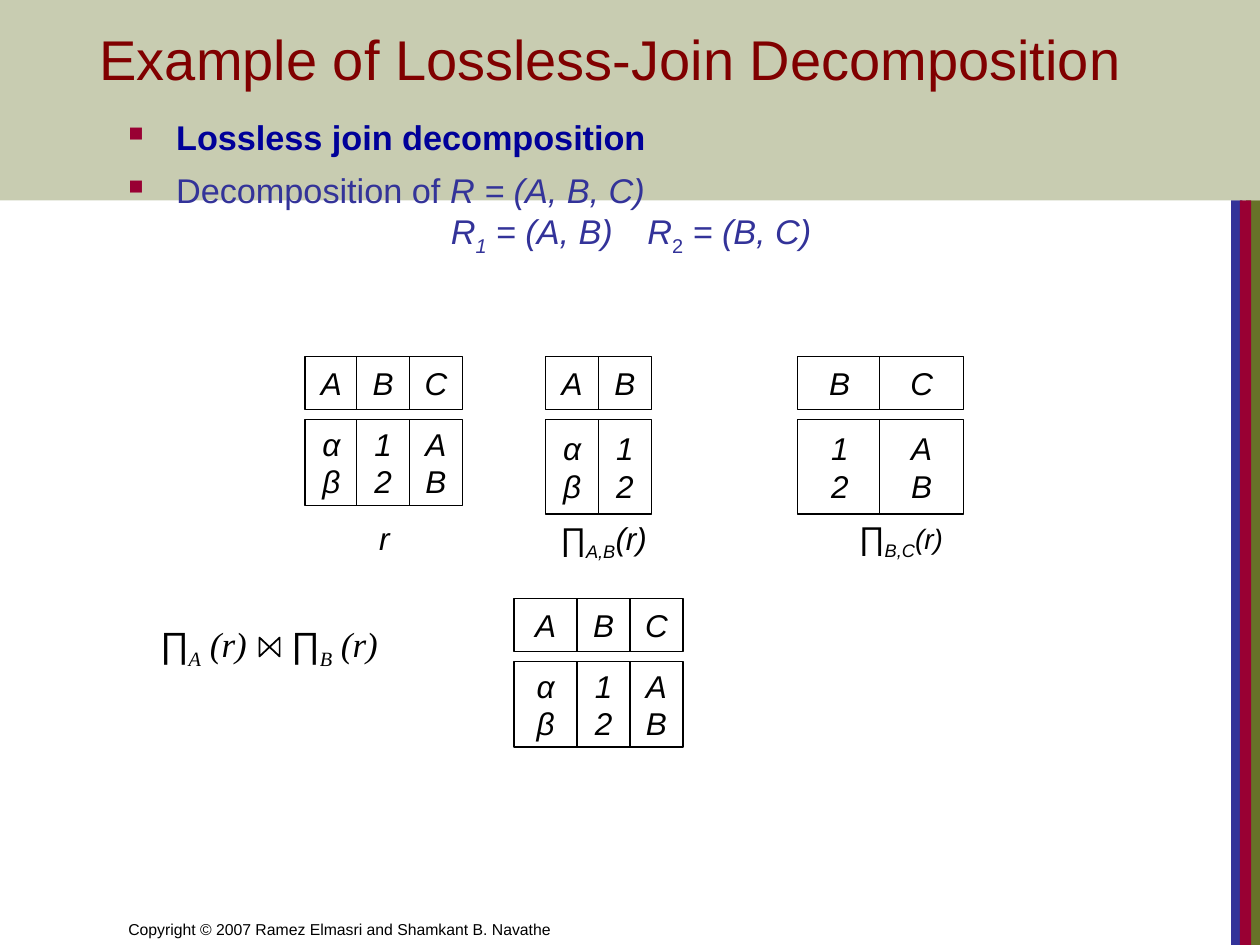
from lxml import etree
from pptx import Presentation
from pptx.dml.color import RGBColor
from pptx.enum import shapes, text
from pptx.oxml import ns
from pptx.util import Inches, Pt

OLIVE = RGBColor(0x67, 0x72, 0x28)
BLUE = RGBColor(0x33, 0x33, 0x99)
CRIMSON = RGBColor(0x99, 0x00, 0x33)
MAROON = RGBColor(0x80, 0x00, 0x00)
NAVY = RGBColor(0x00, 0x00, 0x99)
BLACK = RGBColor(0x00, 0x00, 0x00)
WHITE = RGBColor(0xFF, 0xFF, 0xFF)
SANS = "Arial"
SERIF = "Times New Roman"
HEADER_HEIGHT = 0.42
HEADER_PITCH = 0.5
ALPHAS = ("α", "β")
NUMBERS = ("1", "2")
LETTERS = ("A", "B")


def add_child(parent, tag, **attributes):
    return etree.SubElement(parent, ns.qn(tag), attributes)


def add_run(paragraph, words, size, color=BLACK, font=SANS,
            bold=False, italic=False, subscript=False):
    run = paragraph.add_run()
    run.text = words
    run.font.size = Pt(size)
    run.font.name = font
    run.font.color.rgb = color
    run.font.bold = bold
    run.font.italic = italic
    if subscript:
        run.font._element.set("baseline", "-25000")


def set_tabs(paragraph, positions):
    tabs = add_child(paragraph._p.get_or_add_pPr(), "a:tabLst")
    for position in positions:
        add_child(tabs, "a:tab", pos=str(Inches(position)), algn="l")


def set_bullet(paragraph):
    properties = paragraph._p.get_or_add_pPr()
    properties.set("marL", str(Inches(0.38)))
    properties.set("indent", str(Inches(-0.38)))
    color = add_child(properties, "a:buClr")
    add_child(color, "a:srgbClr", val=str(CRIMSON))
    add_child(properties, "a:buSzPct", val="60000")
    add_child(properties, "a:buChar", char="■")


def add_rectangle(slide, left, top, width, height, color):
    shape = slide.shapes.add_shape(
        shapes.MSO_SHAPE.RECTANGLE,
        Inches(left), Inches(top), Inches(width), Inches(height))
    shape.shadow.inherit = False
    shape.fill.solid()
    shape.fill.fore_color.rgb = color
    shape.line.fill.background()
    return shape


def add_text_box(slide, left, top, width, height, anchor=text.MSO_ANCHOR.TOP):
    box = slide.shapes.add_textbox(
        Inches(left), Inches(top), Inches(width), Inches(height))
    frame = box.text_frame
    frame.word_wrap = True
    frame.vertical_anchor = anchor
    return frame


def add_background(slide):
    for left, width, color in ((9.89, 0.11, OLIVE), (9.77, 0.09, BLUE),
                               (9.84, 0.09, CRIMSON)):
        add_rectangle(slide, left, 1.59, width, 5.91, color)
    band = add_rectangle(slide, 0, 0, 10, 1.59, OLIVE)
    color = band._element.spPr.find(ns.qn("a:solidFill"))[0]
    add_child(color, "a:alpha", val="36000")
    footer = add_text_box(slide, 0.92, 7, 4.92, 0.5, text.MSO_ANCHOR.BOTTOM)
    add_run(footer.paragraphs[0],
            "Copyright © 2007 Ramez Elmasri and Shamkant B. Navathe", 9)


def add_title(slide):
    title = slide.shapes.title
    title.left, title.top = Inches(0.69), Inches(0.28)
    title.width, title.height = Inches(9.33), Inches(0.5)
    frame = title.text_frame
    frame.auto_size = text.MSO_AUTO_SIZE.NONE
    frame.vertical_anchor = text.MSO_ANCHOR.BOTTOM
    paragraph = frame.paragraphs[0]
    paragraph.alignment = text.PP_ALIGN.LEFT
    add_run(paragraph, "Example of Lossless-Join Decomposition", 32, MAROON)
    slide.shapes.element.append(title.element)


def add_definition(slide):
    frame = add_text_box(slide, 0.92, 0.87, 7.66, 1.32)
    frame.margin_right = 0
    heading = frame.paragraphs[0]
    set_bullet(heading)
    add_run(heading, "Lossless join decomposition", 19.6, NAVY, bold=True)

    paragraph = frame.add_paragraph()
    set_bullet(paragraph)
    set_tabs(paragraph, (2.56, 4.12))
    paragraph.space_before = Pt(7)
    add_run(paragraph, "Decomposition of ", 19.6, BLUE)
    add_run(paragraph, "R = (A, B, C)", 19.6, BLUE, italic=True)
    paragraph.add_line_break()
    for words, italic, subscript in (
            ("\tR", True, False), ("1", True, True),
            (" = (A, B)\tR", True, False), ("2", False, True),
            (" = (B, C)", True, False)):
        add_run(paragraph, words, 19.6, BLUE, italic=italic, subscript=subscript)


def add_cell(slide, left, top, width, height, lines):
    cell = add_rectangle(slide, left, top, width, height, WHITE)
    cell.line.color.rgb = BLACK
    cell.line.width = Pt(0.75)
    frame = cell.text_frame
    frame.word_wrap = False
    frame.vertical_anchor = text.MSO_ANCHOR.MIDDLE
    for index, line in enumerate(lines):
        paragraph = frame.add_paragraph() if index else frame.paragraphs[0]
        paragraph.alignment = text.PP_ALIGN.CENTER
        add_run(paragraph, line, 18, italic=True)


def add_relation(slide, top, body_height, columns):
    for left, width, name, values in columns:
        add_cell(slide, left, top, width, HEADER_HEIGHT, (name,))
        add_cell(slide, left, top + HEADER_PITCH, width, body_height, values)


def add_label(slide, left, top, width, height, runs):
    frame = add_text_box(slide, left, top, width, height, text.MSO_ANCHOR.MIDDLE)
    paragraph = frame.paragraphs[0]
    paragraph.alignment = text.PP_ALIGN.CENTER
    for words, size, subscript in runs:
        add_run(paragraph, words, size, italic=True, subscript=subscript)


def add_join_formula(slide):
    paragraph = add_text_box(slide, 1.17, 4.89, 2.75, 0.95).paragraphs[0]
    set_tabs(paragraph, (1.04,))
    for attribute, ending in (("A", " (r)\t"), ("B", " (r)")):
        add_run(paragraph, "∏", 20, italic=True)
        add_run(paragraph, attribute, 20, font=SERIF, italic=True, subscript=True)
        add_run(paragraph, ending, 20, font=SERIF, italic=True)

    left, right, top, bottom = (Inches(x) for x in (2.06, 2.22, 5.06, 5.21))
    builder = slide.shapes.build_freeform(left, top)
    builder.add_line_segments(
        ((left, bottom), (right, top), (right, bottom)), close=True)
    bowtie = builder.convert_to_shape()
    bowtie.shadow.inherit = False
    bowtie.fill.background()
    bowtie.line.color.rgb = BLACK
    bowtie.line.width = Pt(1)


def main():
    presentation = Presentation()
    presentation.slide_width, presentation.slide_height = Inches(10), Inches(7.5)
    slide = presentation.slides.add_slide(presentation.slide_layouts[5])
    add_background(slide)
    add_title(slide)
    add_definition(slide)
    add_relation(slide, 2.83, 0.68, (
        (2.42, 0.42, "A", ALPHAS), (2.83, 0.42, "B", NUMBERS),
        (3.25, 0.42, "C", LETTERS)))
    add_relation(slide, 2.83, 0.75, (
        (4.33, 0.42, "A", ALPHAS), (4.75, 0.42, "B", NUMBERS)))
    add_relation(slide, 2.83, 0.75, (
        (6.33, 0.67, "B", NUMBERS), (6.98, 0.67, "C", LETTERS)))
    add_relation(slide, 4.75, 0.68, (
        (4.08, 0.5, "A", ALPHAS), (4.58, 0.42, "B", NUMBERS),
        (5, 0.42, "C", LETTERS)))
    add_label(slide, 2.91, 4.07, 0.28, 0.4, (("r", 18, False),))
    add_label(slide, 4.08, 4.07, 1.42, 0.44,
              (("∏", 18, False), ("A,B", 18, True), ("(r)", 18, False)))
    add_label(slide, 6.58, 4.06, 1.14, 0.44,
              (("∏", 18, False), ("B,C", 18, True), ("(r)", 16, False)))
    add_join_formula(slide)
    presentation.save("out.pptx")


if __name__ == "__main__":
    main()
